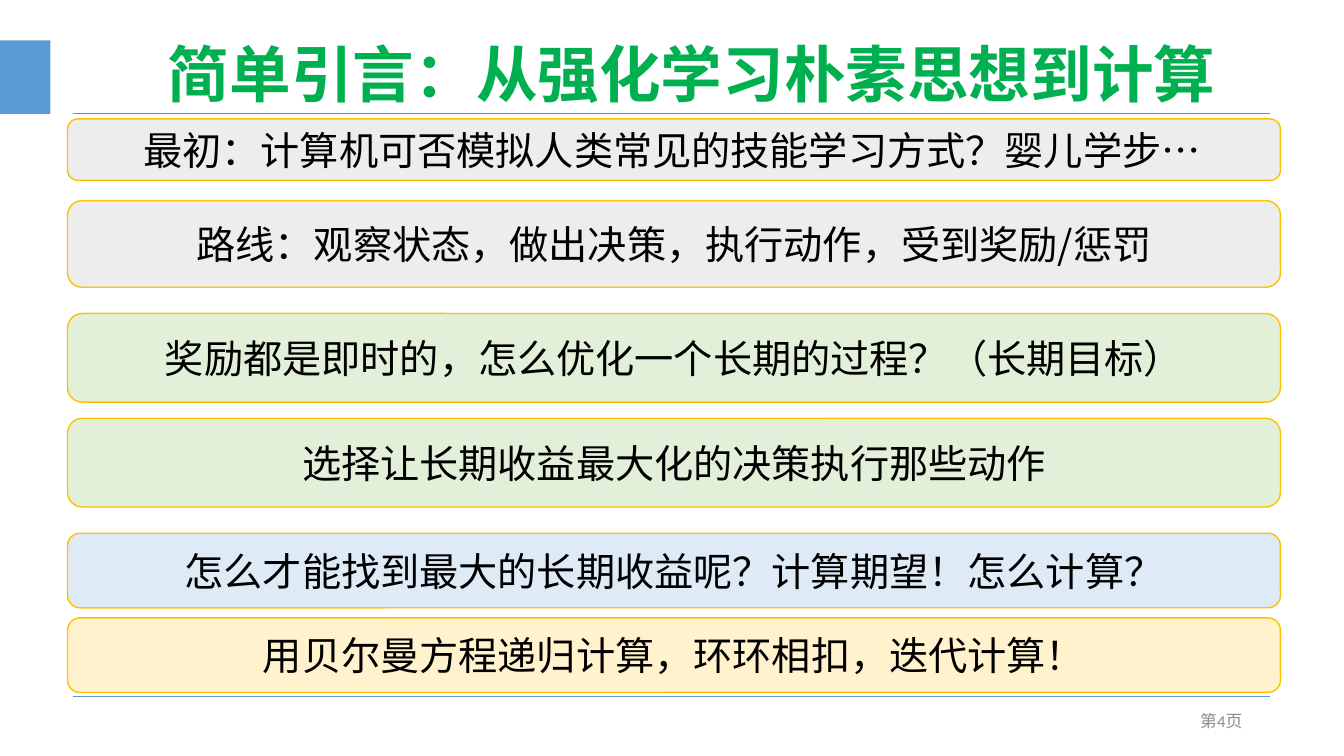
from dataclasses import dataclass

import pptx
import pptx.dml.color
import pptx.enum.shapes
import pptx.enum.text
import pptx.oxml.ns
import pptx.util
from lxml import etree

EMU_PER_PX = 9144  # 100 px to the inch
CJK = "Noto Sans CJK SC"
COLORS = {
    "accent": "5B9BD5",
    "title": "00B050",
    "page": "8C8C8C",
    "text": "000000",
    "border": "FFC000",
    "gray": "EDEDED",
    "green": "E2F0D9",
    "blue": "DEEBF7",
    "yellow": "FFF2CC",
}
ALIGN = pptx.enum.text.PP_ALIGN
SHAPE = pptx.enum.shapes.MSO_SHAPE
BAR_LEFT, BAR_WIDTH = 67, 1203
RULE_LEFT, RULE_RIGHT = 72, 1260


@dataclass
class Bar:
    top: int
    height: int
    fill: str
    text: str
    margins: tuple[int, int] = (10, 10)  # left, right


BARS = [
    Bar(118, 61, "gray", "最初：计算机可否模拟人类常见的技能学习方式？婴儿学步…", (0, 4)),
    Bar(199, 86, "gray", "路线：观察状态，做出决策，执行动作，受到奖励/惩罚"),
    Bar(311, 88, "green", "奖励都是即时的，怎么优化一个长期的过程？（长期目标）"),
    Bar(415, 88, "green", "选择让长期收益最大化的决策执行那些动作"),
    Bar(529, 74, "blue", "怎么才能找到最大的长期收益呢？计算期望！怎么计算？"),
    Bar(613, 74, "yellow", "用贝尔曼方程递归计算，环环相扣，迭代计算！"),
]


def px(n: int) -> pptx.util.Emu:
    return pptx.util.Emu(n * EMU_PER_PX)


def rgb(name: str) -> pptx.dml.color.RGBColor:
    return pptx.dml.color.RGBColor.from_string(COLORS[name])


def write_text(sp, text: str, *, size: int, color: str = "text", font: str = CJK,
               bold: bool = False, align=ALIGN.CENTER, spacing: float = 1.0,
               margins: tuple[int, int] = (10, 10)) -> None:
    tf = sp.text_frame
    tf.word_wrap = True
    tf.vertical_anchor = pptx.enum.text.MSO_ANCHOR.MIDDLE
    tf.margin_left, tf.margin_right = map(px, margins)
    tf.margin_top = tf.margin_bottom = px(5)
    p = tf.paragraphs[0]
    p.alignment = align
    p.line_spacing = spacing
    r = p.add_run()
    r.text = text
    r.font.size = pptx.util.Pt(size)
    r.font.bold = bold
    r.font.name = font
    r.font.color.rgb = rgb(color)
    # East Asian glyphs take their own typeface
    ea = etree.SubElement(r.font._element, pptx.oxml.ns.qn("a:ea"))
    ea.set("typeface", CJK)


def add_box(slide, kind, left: int, top: int, width: int, height: int,
            fill: str, border: str | None = None):
    sp = slide.shapes.add_shape(kind, px(left), px(top), px(width), px(height))
    sp.shadow.inherit = False
    sp.fill.solid()
    sp.fill.fore_color.rgb = rgb(fill)
    if border:
        sp.line.color.rgb = rgb(border)
        sp.line.width = pptx.util.Pt(1)
    else:
        sp.line.fill.background()
    return sp


def add_rule(slide, y: int) -> None:
    line = slide.shapes.add_connector(
        pptx.enum.shapes.MSO_CONNECTOR.STRAIGHT,
        px(RULE_LEFT), px(y), px(RULE_RIGHT), px(y))
    line.line.color.rgb = rgb("accent")
    line.line.width = pptx.util.Pt(0.5)
    etree.SubElement(line._element.spPr, pptx.oxml.ns.qn("a:effectLst"))


def add_label(slide, left: int, top: int, width: int, height: int,
              text: str, **fmt) -> None:
    sp = slide.shapes.add_textbox(px(left), px(top), px(width), px(height))
    write_text(sp, text, **fmt)


def main() -> None:
    prs = pptx.Presentation()
    prs.slide_width, prs.slide_height = px(1333), px(750)
    slide = prs.slides.add_slide(prs.slide_layouts[6])

    # Frame: rules and corner block
    add_rule(slide, 691)
    add_box(slide, SHAPE.RECTANGLE, 0, 40, 50, 73, "accent")
    add_rule(slide, 112)

    # Title and page number
    add_label(slide, 67, 4, 1239, 145, "简单引言：从强化学习朴素思想到计算",
              size=44, color="title", bold=True, spacing=0.9)
    add_label(slide, 942, 695, 300, 40, "第4页", size=12, color="page",
              font="Calibri", align=ALIGN.RIGHT)

    # Reasoning steps
    for bar in BARS:
        sp = add_box(slide, SHAPE.ROUNDED_RECTANGLE, BAR_LEFT, bar.top,
                     BAR_WIDTH, bar.height, bar.fill, "border")
        write_text(sp, bar.text, size=28, margins=bar.margins)

    prs.save("out.pptx")


if __name__ == "__main__":
    main()
